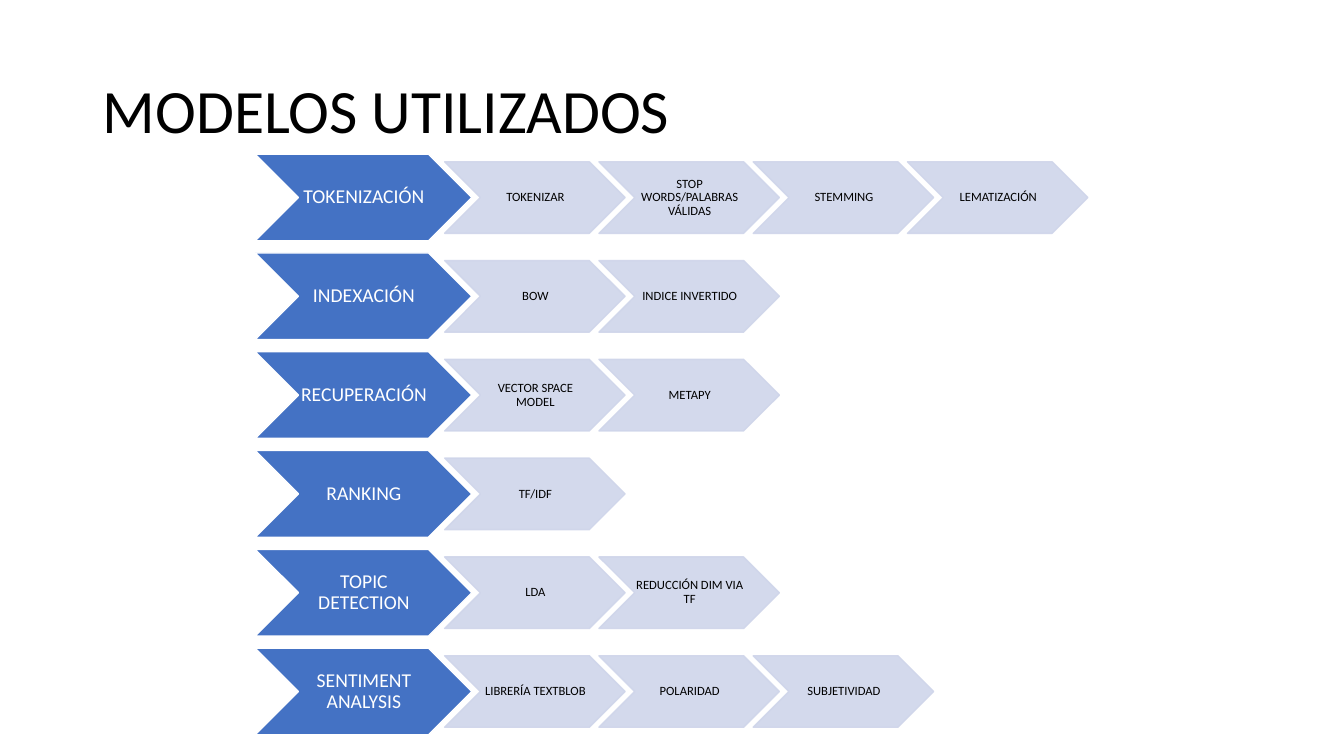
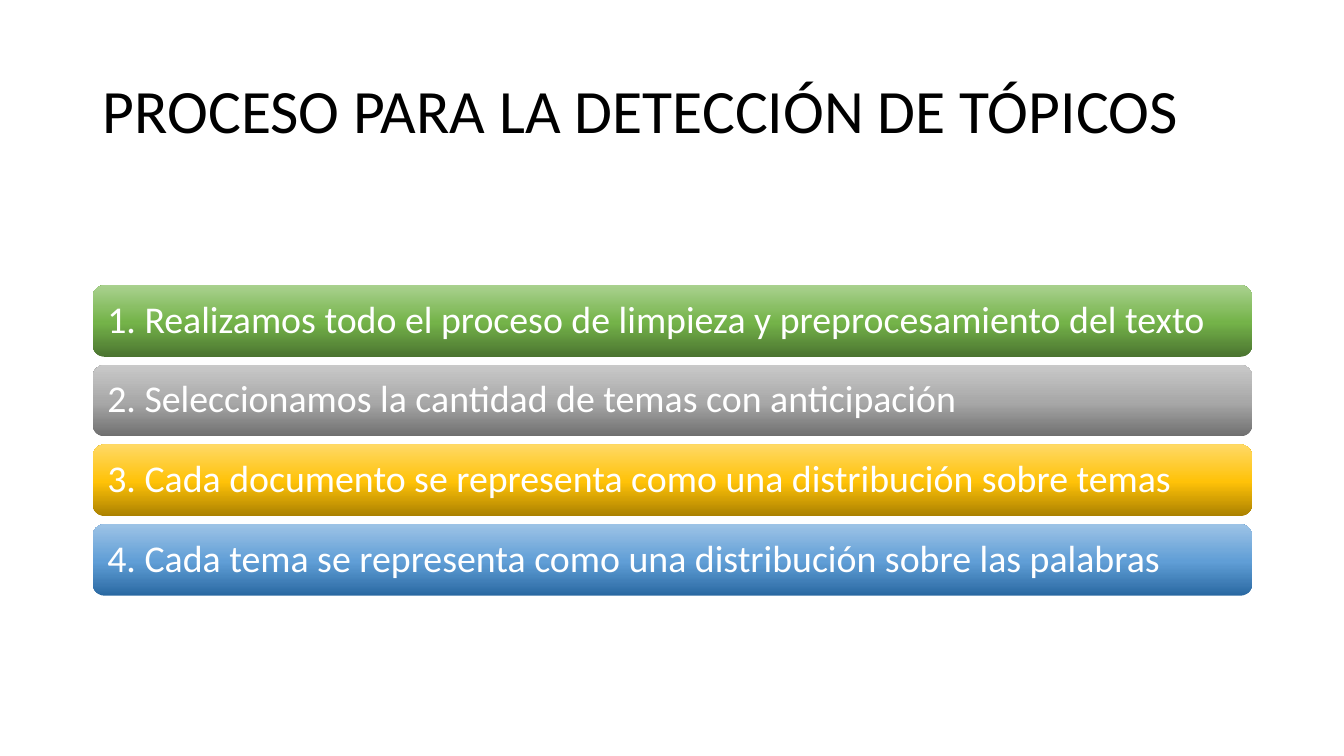
import copy

from pptx import Presentation
from pptx.dml.color import RGBColor
from pptx.enum import shapes, text
from pptx.oxml.ns import qn
from pptx.util import Inches, Pt
from lxml import etree

FONT = "Calibri"
COLORS = {
    "black": "000000",
    "white": "FFFFFF",
    "blue": "4472C4",
    "pale": "CFD5EA",
}
LEFT, WIDE = 0.92, 11.5

prs = Presentation()
prs.slide_width = Inches(13.33)
prs.slide_height = Inches(7.5)
layout = prs.slide_layouts[5]
head = layout.placeholders[0]
head.left, head.top = Inches(LEFT), Inches(0.4)
head.width, head.height = Inches(WIDE), Inches(1.45)


def write(shape, words, size, color, align):
    """Put one styled paragraph, centred vertically, in a shape."""
    frame = shape.text_frame
    frame.text = words
    frame.word_wrap = True
    frame.vertical_anchor = text.MSO_ANCHOR.MIDDLE
    para = frame.paragraphs[0]
    para.alignment = align
    para.line_spacing = 0.9
    para.font.name = FONT
    para.font.size = Pt(size)
    para.font.color.rgb = RGBColor.from_string(COLORS[color])


def arrow(slide, box, words, size, fill, edge, ink, alpha=None):
    """Draw a labelled chevron; alpha is the opacity in percent."""
    shape = slide.shapes.add_shape(shapes.MSO_SHAPE.CHEVRON, *map(Inches, box))
    shape.shadow.inherit = False
    shape.fill.solid()
    shape.fill.fore_color.rgb = RGBColor.from_string(COLORS[fill])
    shape.line.color.rgb = RGBColor.from_string(COLORS[edge])
    shape.line.width = Pt(1)
    if alpha:
        for node in shape._element.spPr.iter(qn("a:srgbClr")):
            etree.SubElement(node, qn("a:alpha")).set("val", str(alpha * 1000))
    write(shape, words, size, ink, text.PP_ALIGN.CENTER)
    frame = shape.text_frame
    frame.margin_left = frame.margin_top = frame.margin_bottom = Inches(0.01)
    frame.margin_right = 0


# Slide 1: one row of chevrons for each model
slide = prs.slides.add_slide(layout)
write(slide.shapes.title, "MODELOS UTILIZADOS", 44, "black", text.PP_ALIGN.LEFT)

models = [
    ("TOKENIZACIÓN", ["TOKENIZAR", "STOP WORDS/PALABRAS VÁLIDAS", "STEMMING", "LEMATIZACIÓN"]),
    ("INDEXACIÓN", ["BOW", "INDICE INVERTIDO"]),
    ("RECUPERACIÓN", ["VECTOR SPACE MODEL", "METAPY"]),
    ("RANKING", ["TF/IDF"]),
    ("TOPIC DETECTION", ["LDA", "REDUCCIÓN DIM VIA TF"]),
    ("SENTIMENT ANALYSIS", ["LIBRERÍA TEXTBLOB", "POLARIDAD", "SUBJETIVIDAD"]),
]
tall, low = 0.86, 0.71
for row, (model, steps) in enumerate(models):
    top = 1.53 + row * 0.98
    arrow(slide, (2.53, top, 2.15, tall), model, 14, "blue", "white", "white")
    for col, step in enumerate(steps):
        box = (4.41 + col * 1.53, top + (tall - low) / 2, 1.79, low)
        arrow(slide, box, step, 9, "pale", "pale", "black", alpha=90)

# Slide 2: four gradient bars
slide = prs.slides.add_slide(layout)
write(slide.shapes.title, "PROCESO PARA LA DETECCIÓN DE TÓPICOS", 44, "black", text.PP_ALIGN.LEFT)

# Each bar runs from dark at the bottom to light at the top
bars = [
    ("1. Realizamos todo el proceso de limpieza y preprocesamiento del texto",
     ("4B7430", "74B349", "A9D18E")),
    ("2. Seleccionamos la cantidad de temas con anticipación",
     ("6F6F6F", "A8A8A8", "C9C9C9")),
    ("3. Cada documento se representa como una distribución sobre temas",
     ("AB8100", "FFC208", "FFD966")),
    ("4. Cada tema se representa como una distribución sobre las palabras",
     ("2A69A2", "609ED6", "9DC3E6")),
]
for row, (words, shades) in enumerate(bars):
    bar = slide.shapes.add_shape(
        shapes.MSO_SHAPE.ROUNDED_RECTANGLE,
        Inches(LEFT), Inches(2.83 + row * 0.79), Inches(WIDE), Inches(0.71))
    bar.shadow.inherit = False
    bar.line.fill.background()
    bar.fill.gradient()
    bar.fill.gradient_angle = 90
    stops = bar._element.spPr.find(".//" + qn("a:gsLst"))
    stops.append(copy.deepcopy(stops[0]))
    for stop, shade, spot in zip(bar.fill.gradient_stops, shades, (0, 0.48, 1)):
        stop.color.rgb = RGBColor.from_string(shade)
        stop.position = spot
    write(bar, words, 27, "white", text.PP_ALIGN.LEFT)
    bar.text_frame.margin_left = bar.text_frame.margin_right = Inches(0.11)

prs.save("out.pptx")
